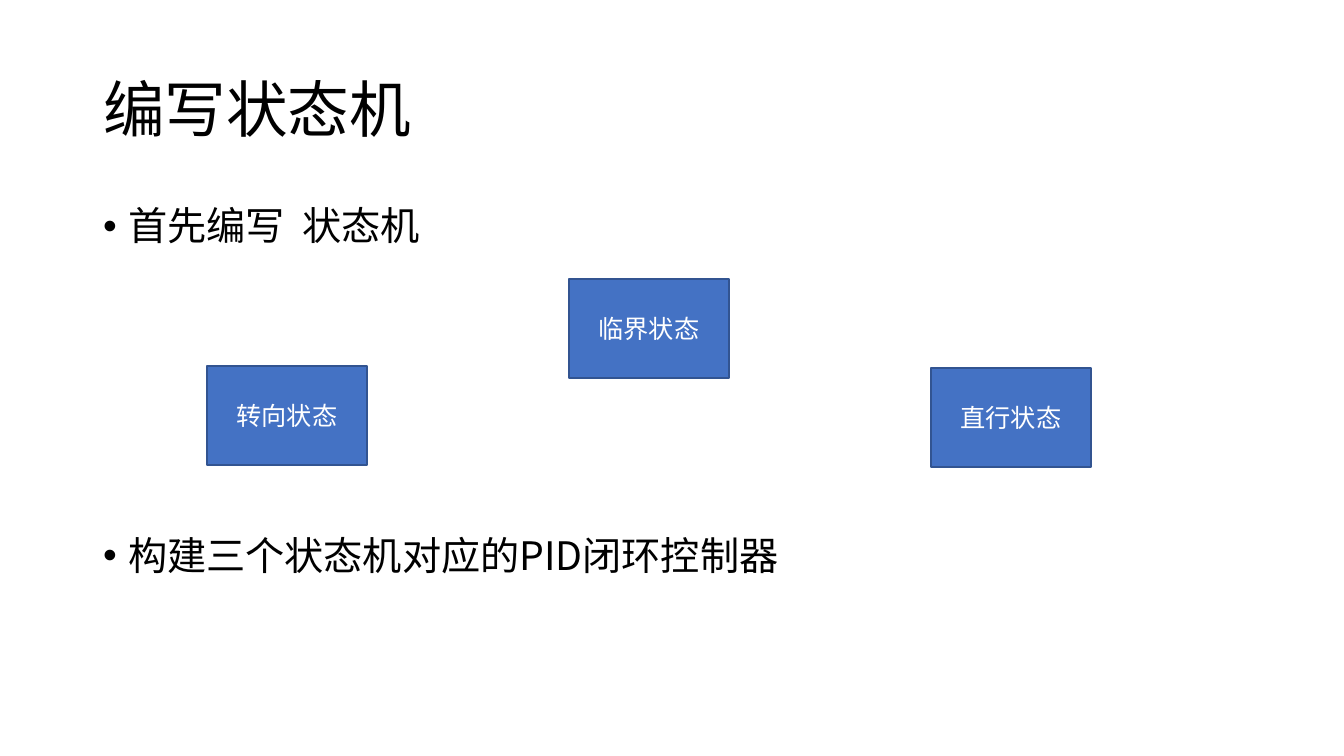
from dataclasses import dataclass

from lxml import etree
from pptx import Presentation
from pptx.dml.color import RGBColor
from pptx.enum.shapes import MSO_SHAPE
from pptx.enum.text import MSO_ANCHOR, MSO_AUTO_SIZE, PP_ALIGN
from pptx.oxml.ns import qn
from pptx.util import Emu, Pt

RECTANGLE = MSO_SHAPE.RECTANGLE
TOP, MIDDLE = MSO_ANCHOR.TOP, MSO_ANCHOR.MIDDLE
LEFT, CENTER = PP_ALIGN.LEFT, PP_ALIGN.CENTER
NO_AUTOFIT = MSO_AUTO_SIZE.NONE
EMU_PER_PX = 914400 / 100.8


def px(length):
    return Emu(round(length * EMU_PER_PX))


@dataclass(frozen=True)
class Theme:
    font: str = "Noto Sans CJK SC"
    ink: str = "000000"
    paper: str = "FFFFFF"
    state_fill: str = "4472C4"
    state_line: str = "325491"
    title_size: int = 44
    body_size: int = 28
    state_size: int = 18
    line_spacing: float = 0.9


class SlideBuilder:
    def __init__(self, page, theme):
        self.page = page
        self.theme = theme
        fill = page.background.fill
        fill.solid()
        fill.fore_color.rgb = RGBColor.from_string(theme.paper)

    def place(self, shape, left, top, width, height):
        shape.left, shape.top = px(left), px(top)
        shape.width, shape.height = px(width), px(height)

    def prepare(self, shape, anchor):
        frame = shape.text_frame
        frame.word_wrap = True
        frame.auto_size = NO_AUTOFIT
        frame.vertical_anchor = anchor
        return frame

    def add_span(self, para, text, size, color, align):
        para.alignment = align
        span = para.add_run()
        span.text = text
        span.font.name = self.theme.font
        span.font.size = Pt(size)
        span.font.color.rgb = RGBColor.from_string(color)
        properties = span._r.get_or_add_rPr()
        etree.SubElement(properties, qn("a:ea"), typeface=self.theme.font)

    def title(self, text, *area):
        shape = self.page.shapes.title
        self.place(shape, *area)
        para = self.prepare(shape, MIDDLE).paragraphs[0]
        para.line_spacing = self.theme.line_spacing
        self.add_span(para, text, self.theme.title_size, self.theme.ink, LEFT)

    def bullets(self, items, *area):
        shape = self.page.placeholders[1]
        self.place(shape, *area)
        frame = self.prepare(shape, TOP)
        for index, (text, space_before) in enumerate(items):
            para = frame.add_paragraph() if index else frame.paragraphs[0]
            para.line_spacing = self.theme.line_spacing
            para.space_before = Pt(space_before)
            para.space_after = Pt(0)
            properties = para._p.get_or_add_pPr()
            properties.set("marL", str(px(25)))
            properties.set("indent", str(-px(25)))
            etree.SubElement(properties, qn("a:buFont"), typeface="Arial")
            etree.SubElement(properties, qn("a:buChar"), char="•")
            self.add_span(para, text, self.theme.body_size, self.theme.ink, LEFT)

    def state(self, text, left, top, width, height):
        box = self.page.shapes.add_shape(
            RECTANGLE, px(left), px(top), px(width), px(height))
        box.shadow.inherit = False
        box.fill.solid()
        box.fill.fore_color.rgb = RGBColor.from_string(self.theme.state_fill)
        box.line.color.rgb = RGBColor.from_string(self.theme.state_line)
        box.line.width = Pt(1)
        para = self.prepare(box, MIDDLE).paragraphs[0]
        self.add_span(para, text, self.theme.state_size, self.theme.paper, CENTER)


def main():
    deck = Presentation()
    deck.slide_width, deck.slide_height = px(1344), px(756)
    page = deck.slides.add_slide(deck.slide_layouts[1])
    builder = SlideBuilder(page, Theme())
    builder.title("编写状态机", 93, 40, 1159, 146)
    builder.bullets(
        [("首先编写  状态机", 10), ("构建三个状态机对应的PID闭环控制器", 205)],
        93, 202, 1159, 480)
    states = [("转向状态", 366), ("临界状态", 279), ("直行状态", 368)]
    for column, (name, top) in enumerate(states):
        builder.state(name, 207 + 362 * column, top, 160, 99)
    deck.save("out.pptx")


if __name__ == "__main__":
    main()
